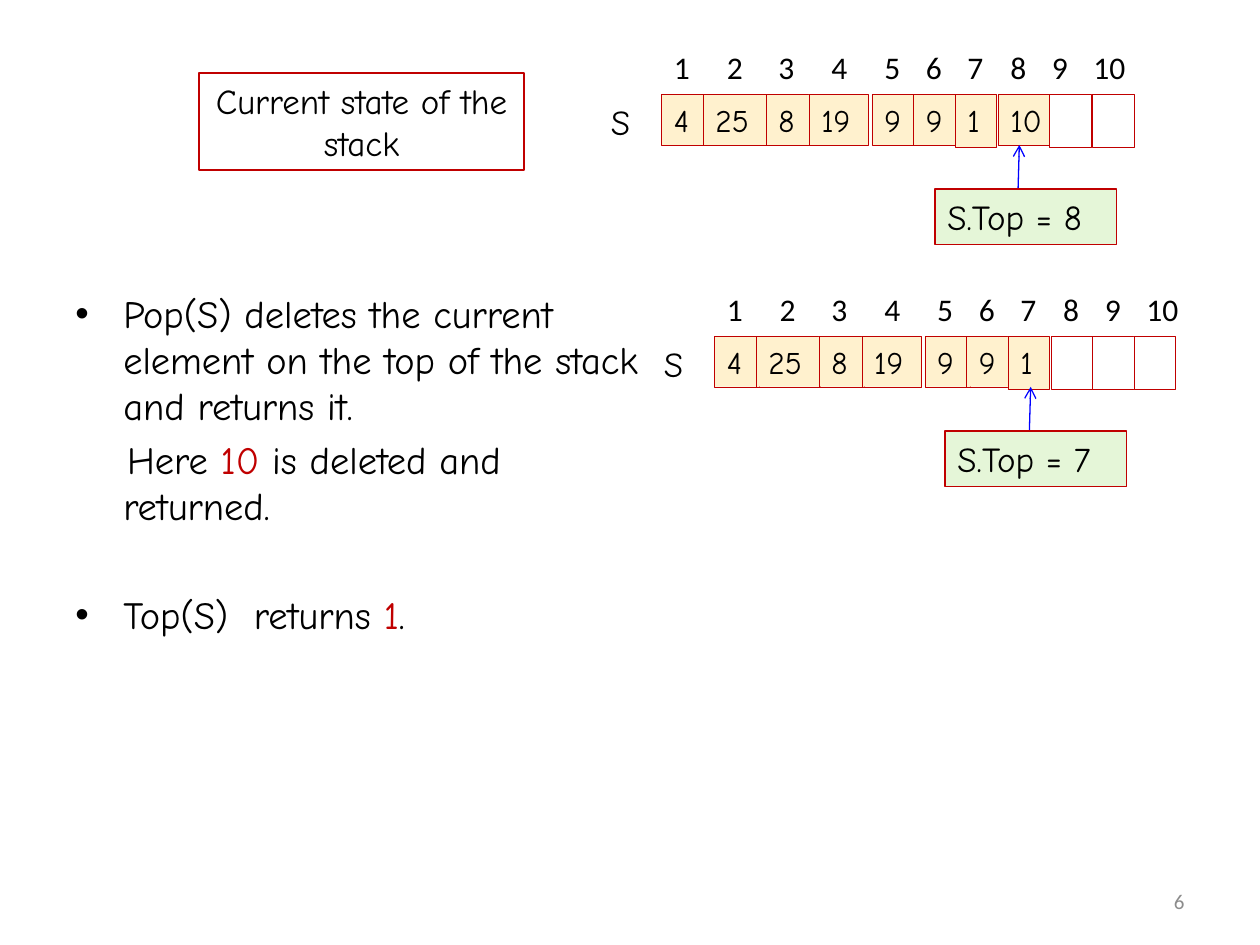
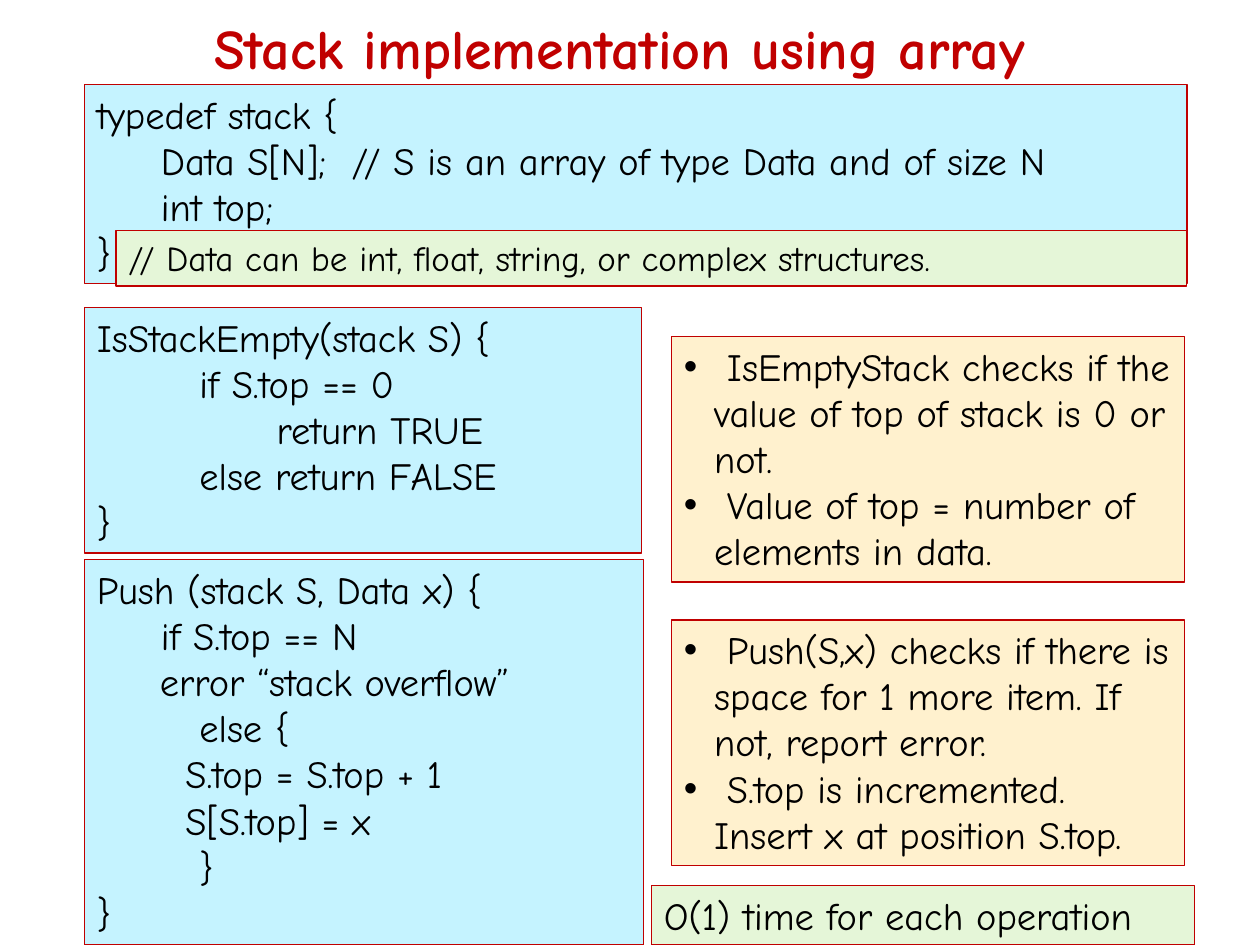
from dataclasses import dataclass

from lxml.etree import SubElement
from pptx import Presentation
from pptx.dml.color import RGBColor
from pptx.enum.shapes import MSO_CONNECTOR, MSO_SHAPE
from pptx.enum.text import MSO_ANCHOR, PP_ALIGN
from pptx.oxml.ns import qn
from pptx.util import Inches, Pt

BLACK = RGBColor(0x00, 0x00, 0x00)
WHITE = RGBColor(0xFF, 0xFF, 0xFF)
RED = RGBColor(0xC0, 0x00, 0x00)
BLUE = RGBColor(0x00, 0x00, 0xFF)
GRAY = RGBColor(0x8C, 0x8C, 0x8C)
CODE_FILL = RGBColor(0xC5, 0xF3, 0xFF)
NOTE_FILL = RGBColor(0xFF, 0xF1, 0xCE)
REMARK_FILL = RGBColor(0xE5, 0xF6, 0xD8)

HAND_FONT = "Comic Neue"
PLAIN_FONT = "Calibri"

# Offsets from the left end of a stack
INDEX_OFFSETS = (0, 0.42, 0.83, 1.25, 1.67, 2, 2.33, 2.67, 3, 3.33)
VALUE_OFFSETS = (0, 0.33, 0.83, 1.17, 1.67, 2, 2.33, 2.67)
VALUE_WIDTHS = (0.36, 0.51, 0.36, 0.47, 0.36, 0.36, 0.33, 0.5)
EMPTY_WIDTH = 0.33

STACK_CODE = """typedef stack {
     Data S[N];  // S is an array of type Data and of size N
     int top;
}"""
IS_EMPTY_CODE = """IsStackEmpty(stack S) {
        if S.top == 0
              return TRUE
        else return FALSE
}"""
PUSH_CODE = """Push (stack S, Data x) {
     if S.top == N
\terror “stack overflow”
        else {
\t  S.top = S.top + 1
\t  S[S.top] = x
        }
}"""


@dataclass
class Line:
    """One paragraph; every second phrase of it is red."""
    phrases: tuple
    bullet: bool = False
    margin: float = 0
    first_indent: float = 0
    space_before: float = 0


def bullet_line(*phrases, hang, space_before=0):
    return Line(phrases, True, hang, -hang, space_before)


def write(frame, text, *, size=22, font=HAND_FONT, color=BLACK, bold=False,
          align=PP_ALIGN.LEFT, anchor=MSO_ANCHOR.TOP):
    """Fill a frame with a string, one paragraph a row, or a list of Lines."""
    frame.word_wrap = True
    frame.vertical_anchor = anchor
    if isinstance(text, str):
        text = [Line((row,)) for row in text.split("\n")]
    for number, line in enumerate(text):
        paragraph = frame.add_paragraph() if number else frame.paragraphs[0]
        properties = paragraph._p.get_or_add_pPr()
        properties.set("marL", str(Inches(line.margin)))
        properties.set("indent", str(Inches(line.first_indent)))
        if line.bullet:
            SubElement(properties, qn("a:buFont")).set("typeface", "Arial")
            SubElement(properties, qn("a:buChar")).set("char", "•")
        paragraph.alignment = align
        if line.space_before:
            paragraph.space_before = Pt(line.space_before)
        for position, phrase in enumerate(line.phrases):
            run = paragraph.add_run()
            run.text = phrase
            run.font.name = font
            run.font.size = Pt(size)
            run.font.bold = bold
            run.font.color.rgb = RED if position % 2 else color


class Deck:
    def __init__(self):
        self.presentation = Presentation()
        self.presentation.slide_width = Inches(10)
        self.presentation.slide_height = Inches(7.5)
        self.slide = None

    def new_slide(self):
        blank = self.presentation.slide_layouts[6]
        self.slide = self.presentation.slides.add_slide(blank)

    def text(self, left, top, width, height, text, **style):
        box = self.slide.shapes.add_textbox(
            Inches(left), Inches(top), Inches(width), Inches(height))
        write(box.text_frame, text, **style)

    def box(self, left, top, width, height, text="", *, fill=None,
            line_width=0.75, **style):
        box = self.slide.shapes.add_shape(
            MSO_SHAPE.RECTANGLE,
            Inches(left), Inches(top), Inches(width), Inches(height))
        box.shadow.inherit = False
        if fill is None:
            box.fill.background()
        else:
            box.fill.solid()
            box.fill.fore_color.rgb = fill
        box.line.color.rgb = RED
        box.line.width = Pt(line_width)
        if text:
            write(box.text_frame, text, **style)

    def arrow(self, start_x, start_y, end_x, end_y):
        arrow = self.slide.shapes.add_connector(
            MSO_CONNECTOR.STRAIGHT, Inches(start_x), Inches(start_y),
            Inches(end_x), Inches(end_y))
        arrow.line.color.rgb = BLUE
        arrow.line.width = Pt(0.75)
        SubElement(arrow.line._get_or_add_ln(), qn("a:tailEnd")).set("type", "arrow")
        SubElement(arrow._element.spPr, qn("a:effectLst"))

    def stack(self, left, top, values, empty_offsets, pointer, top_box):
        """Draw an indexed array and the box that points at its top element."""
        for value, offset, width in zip(values, VALUE_OFFSETS, VALUE_WIDTHS):
            height = 0.42 if value == "1" else 0.4
            self.box(left + offset, top, width, height, value,
                     fill=NOTE_FILL, line_width=0.25, size=18)
        for offset in empty_offsets:
            self.box(left + offset, top, EMPTY_WIDTH, 0.42,
                     fill=WHITE, line_width=0.25)
        for index, offset in enumerate(INDEX_OFFSETS, 1):
            self.text(left + offset, top - 0.42, 0.33 if index < 10 else 0.5, 0.4,
                      str(index), size=18, font=PLAIN_FONT)
        self.arrow(left + pointer, top + 0.75, left + pointer + 0.01, top + 0.4)
        self.box(left + top_box, top + 0.75, 1.44, 0.44, f"S.Top = {len(values)}",
                 fill=REMARK_FILL, size=20)
        self.text(left - 0.5, top, 0.4, 0.44, "S", size=20)


def pop_slide(deck):
    deck.new_slide()
    deck.text(0.5, 2.25, 4.75, 4.92, [
        bullet_line("Pop(S) deletes the current element on the top of the stack "
                    "and returns it.", hang=0.38),
        Line(("Here ", "10", " is deleted and returned."), margin=0.38,
             first_indent=0.03, space_before=4.5),
        bullet_line("Top(S)  returns ", "1", ".", hang=0.38, space_before=35.5),
    ])
    deck.text(7.17, 6.95, 2.33, 0.4, "6", size=12, font=PLAIN_FONT, color=GRAY,
              align=PP_ALIGN.RIGHT, anchor=MSO_ANCHOR.MIDDLE)
    deck.box(1.58, 0.58, 2.58, 0.77, "Current state of the stack",
             size=20, align=PP_ALIGN.CENTER)
    values = ["4", "25", "8", "19", "9", "9", "1", "10"]
    deck.stack(5.25, 0.75, values, (3.08, 3.42), pointer=2.83, top_box=2.17)
    deck.stack(5.67, 2.67, values[:-1], (2.67, 3, 3.33), pointer=2.5, top_box=1.83)


def implementation_slide(deck):
    deck.new_slide()
    deck.text(0.42, -0.25, 9, 1.25, "Stack implementation using array", size=32,
              color=RED, bold=True, align=PP_ALIGN.CENTER, anchor=MSO_ANCHOR.MIDDLE)
    deck.box(0.67, 0.67, 8.75, 1.58, STACK_CODE, fill=CODE_FILL)
    deck.box(0.92, 1.83, 8.5, 0.44,
             "// Data can be int, float, string, or complex structures.",
             fill=REMARK_FILL, size=20)
    deck.box(0.67, 2.44, 4.42, 1.95, IS_EMPTY_CODE, fill=CODE_FILL)
    deck.box(0.67, 4.44, 4.44, 3.06, PUSH_CODE, fill=CODE_FILL)
    notes = {
        2.67: (" IsEmptyStack checks if the value of top of stack is 0 or not.",
               " Value of top = number of elements in data."),
        4.92: (" Push(S,x) checks if there is space for 1 more item. "
               "If not, report error.",
               " S.top is incremented. Insert x at position S.top."),
    }
    for top, points in notes.items():
        deck.box(5.33, top, 4.07, 1.95,
                 [bullet_line(point, hang=0.24) for point in points], fill=NOTE_FILL)
    deck.box(5.17, 7.03, 4.31, 0.47, "O(1) time for each operation", fill=REMARK_FILL)


def main():
    deck = Deck()
    pop_slide(deck)
    implementation_slide(deck)
    deck.presentation.save("out.pptx")


if __name__ == "__main__":
    main()
